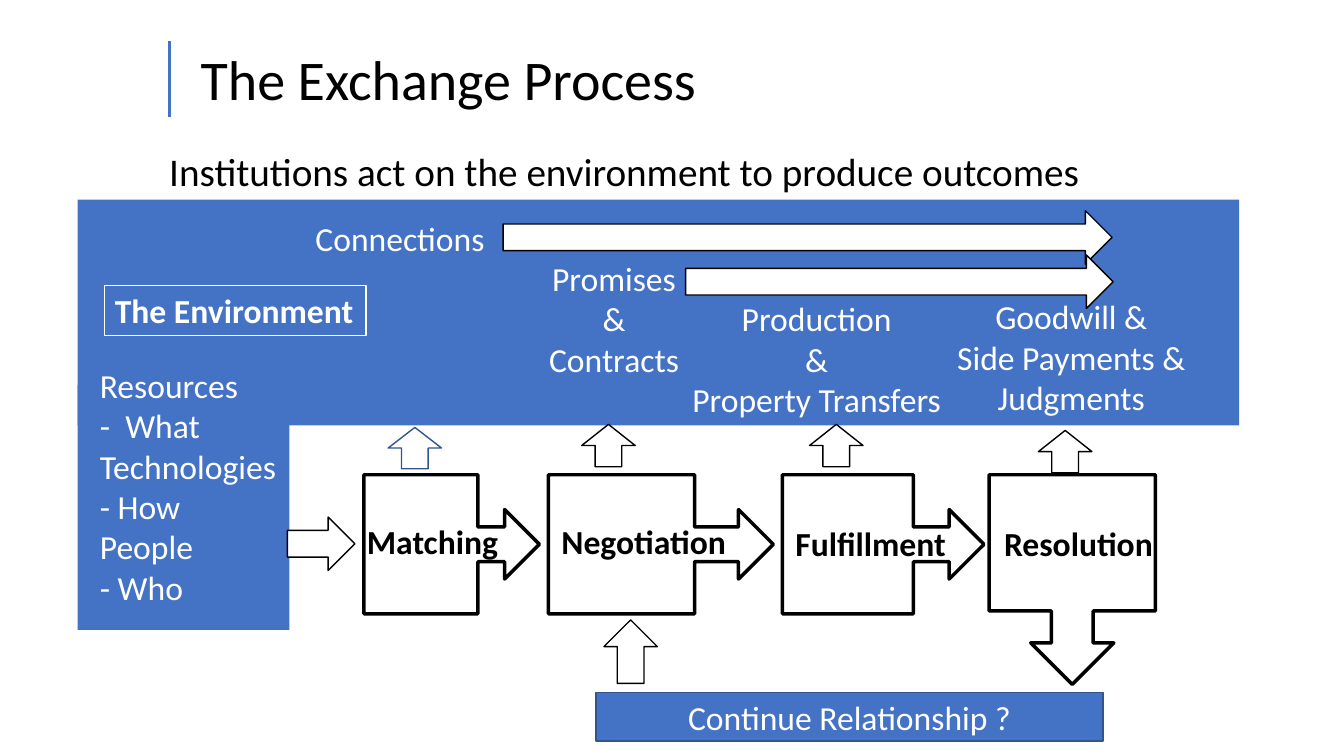
from pptx import Presentation
from pptx.dml.color import RGBColor
from pptx.enum.shapes import MSO_CONNECTOR, MSO_SHAPE
from pptx.enum.text import MSO_ANCHOR, MSO_AUTO_SIZE, PP_ALIGN
from pptx.oxml.ns import qn
from pptx.util import Inches, Pt
from lxml import etree

RECT, UP, RIGHT = MSO_SHAPE.RECTANGLE, MSO_SHAPE.UP_ARROW, MSO_SHAPE.RIGHT_ARROW
NEXT, DOWN = MSO_SHAPE.RIGHT_ARROW_CALLOUT, MSO_SHAPE.DOWN_ARROW_CALLOUT
LEFT, MID = PP_ALIGN.LEFT, PP_ALIGN.CENTER
BLUE, NAVY, WHITE, BLACK = "4472C4", "325491", "FFFFFF", "000000"
FONT = "Calibri"
THICK = 0.53

TITLE = "The Exchange Process"
CLAIM = "Institutions act on the environment to produce outcomes"
PLACE = "The Environment"
LOOP = "Continue Relationship ?"
INPUTS = ["Resources", "-  What", "Technologies", "- How", "People", "- Who"]
OUTCOMES = [
    (["Connections"], (3.03, 2.11, 1.9, 0.5), LEFT),
    (["Promises", "&", "Contracts"], (5.34, 2.51, 1.5, 1.31), MID),
    (["Production", "&", "Property Transfers"], (6.75, 2.91, 2.7, 1.31), MID),
    (["Goodwill &", "Side Payments &", "Judgments"], (9.38, 2.89, 2.49, 1.31), MID),
]
STAGES = [
    ("Matching", NEXT, (3.61, 4.71, 1.74, 1.38), (3.54, 5.12, 1.52, 0.5)),
    ("Negotiation", NEXT, (5.44, 4.71, 2.23, 1.38), (5.47, 5.12, 1.85, 0.5)),
    ("Fulfillment", NEXT, (7.76, 4.71, 2, 1.38), (7.79, 5.14, 1.71, 0.5)),
    ("Resolution", DOWN, (9.81, 4.71, 1.65, 2.08), (9.86, 5.14, 1.7, 0.5)),
]
RISES = [
    (3.85, 4.24, 0.41, NAVY),
    (5.77, 4.21, 0.42, BLACK),
    (8.03, 4.21, 0.42, BLACK),
    (10.3, 4.27, 0.42, BLACK),
    (5.99, 6.15, 0.63, BLACK),
]
FLOWS = [(4.99, 2.09, 6.04), (6.8, 2.53, 4.24), (2.85, 5.13, 0.67)]

deck = Presentation()
deck.slide_width, deck.slide_height = Inches(13.33), Inches(7.5)
slide = deck.slides.add_slide(deck.slide_layouts[1])
shapes = slide.shapes


def color(code):
    return RGBColor.from_string(code)


def block(kind, box, fill=None, line=None, width=1):
    shape = shapes.add_shape(kind, *map(Inches, box))
    shape.shadow.inherit = False
    if fill:
        shape.fill.solid()
        shape.fill.fore_color.rgb = color(fill)
    else:
        shape.fill.background()
    if line:
        shape.line.color.rgb = color(line)
        shape.line.width = Pt(width)
    else:
        shape.line.fill.background()
    return shape


def write(shape, lines, size=24, ink=WHITE, bold=False, align=LEFT, anchor=MSO_ANCHOR.TOP):
    frame = shape.text_frame
    frame.text = "\n".join(lines)
    frame.word_wrap = False
    frame.auto_size = MSO_AUTO_SIZE.NONE
    frame.vertical_anchor = anchor
    for para in frame.paragraphs:
        para.alignment = align
        para.space_before = Pt(0)
        font = para.font
        font.name, font.size, font.bold = FONT, Pt(size), bold
        font.color.rgb = color(ink)


def label(box, lines, **style):
    write(shapes.add_textbox(*map(Inches, box)), lines, **style)


def move(shape, box):
    shape.left, shape.top, shape.width, shape.height = map(Inches, box)


title, body = shapes.title, slide.placeholders[1]
move(title, (1.89, 0.39, 5.16, 0.77))
write(title, [TITLE], size=40, ink=BLACK)

rule = shapes.add_connector(
    MSO_CONNECTOR.STRAIGHT, Inches(1.68), Inches(0.41), Inches(1.68), Inches(1.16))
rule.line.color.rgb = color(BLUE)
rule.line.width = Pt(2.25)
etree.SubElement(rule._element.spPr, qn("a:effectLst"))

label((1.58, 1.41, 9.52, 0.57), [CLAIM], size=28, ink=BLACK)
loop = block(RECT, (5.91, 6.87, 5.03, 0.48), BLUE, NAVY)
write(loop, [LOOP], align=MID, anchor=MSO_ANCHOR.MIDDLE)
block(RECT, (0.77, 1.98, 11.52, 2.24), BLUE)
block(RECT, (0.77, 3.82, 2.1, 2.43), BLUE)
place = block(RECT, (1.04, 2.83, 2.59, 0.5), line=WHITE, width=0.75)
write(place, [PLACE], bold=True)

for lines, box, align in OUTCOMES:
    label(box, lines, align=align)

move(body, (0.89, 3.57, 1.97, 2.52))
write(body, INPUTS)
for para in body.text_frame.paragraphs:
    props = para._p.get_or_add_pPr()
    props.set("marL", "0")
    props.set("indent", "0")
    props.insert_element_before(
        props.makeelement(qn("a:buNone"), {}), "a:tabLst", "a:defRPr", "a:extLst")
shapes._spTree.append(body._element)

for left, top, high, line in RISES:
    block(UP, (left, top, THICK, high), WHITE, line)
for left, top, wide in FLOWS:
    block(RIGHT, (left, top, wide, THICK), WHITE, BLACK)

for name, kind, box, spot in STAGES:
    block(kind, box, line=BLACK, width=2.5)
    label(spot, [name], ink=BLACK, bold=True)

deck.save("out.pptx")
